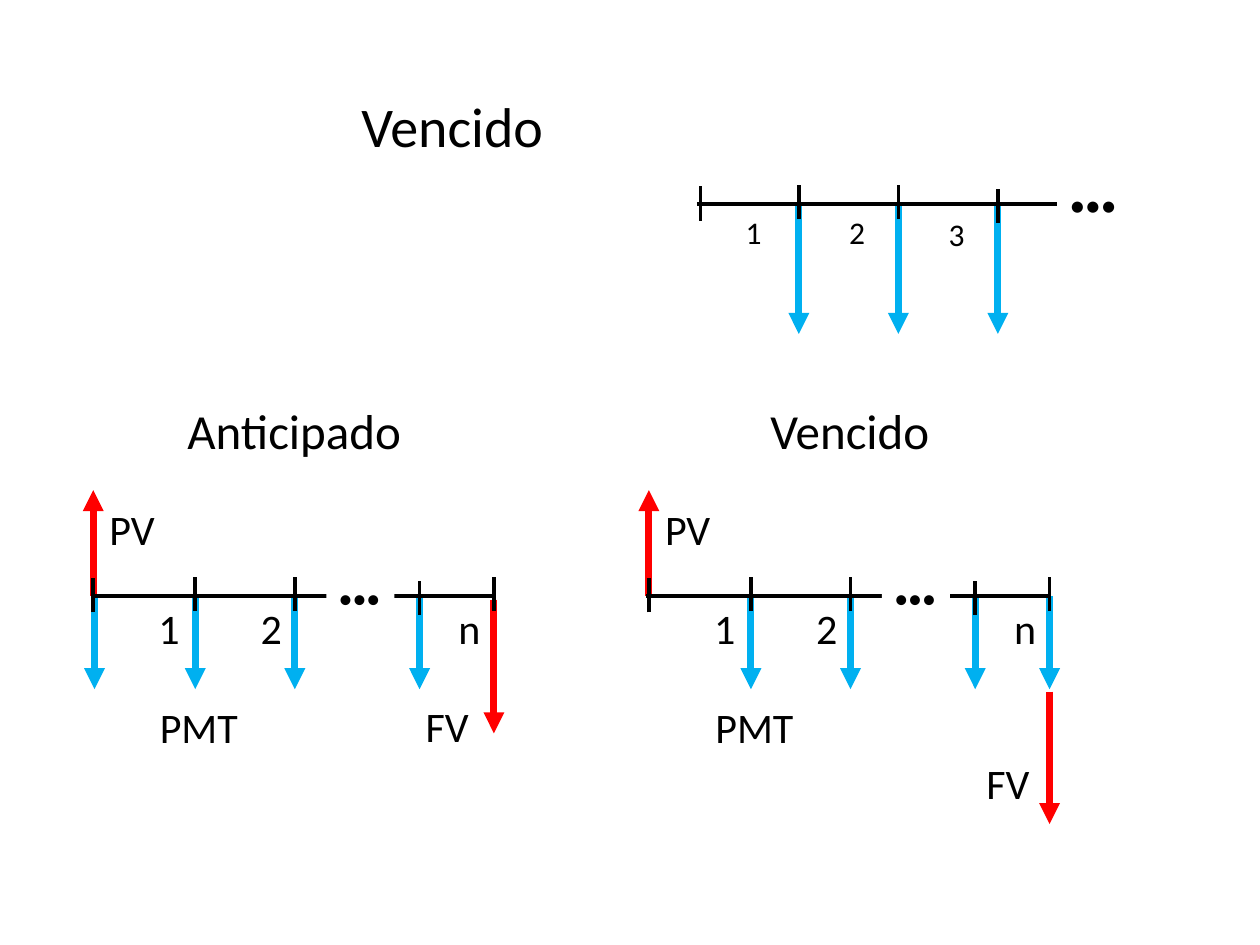
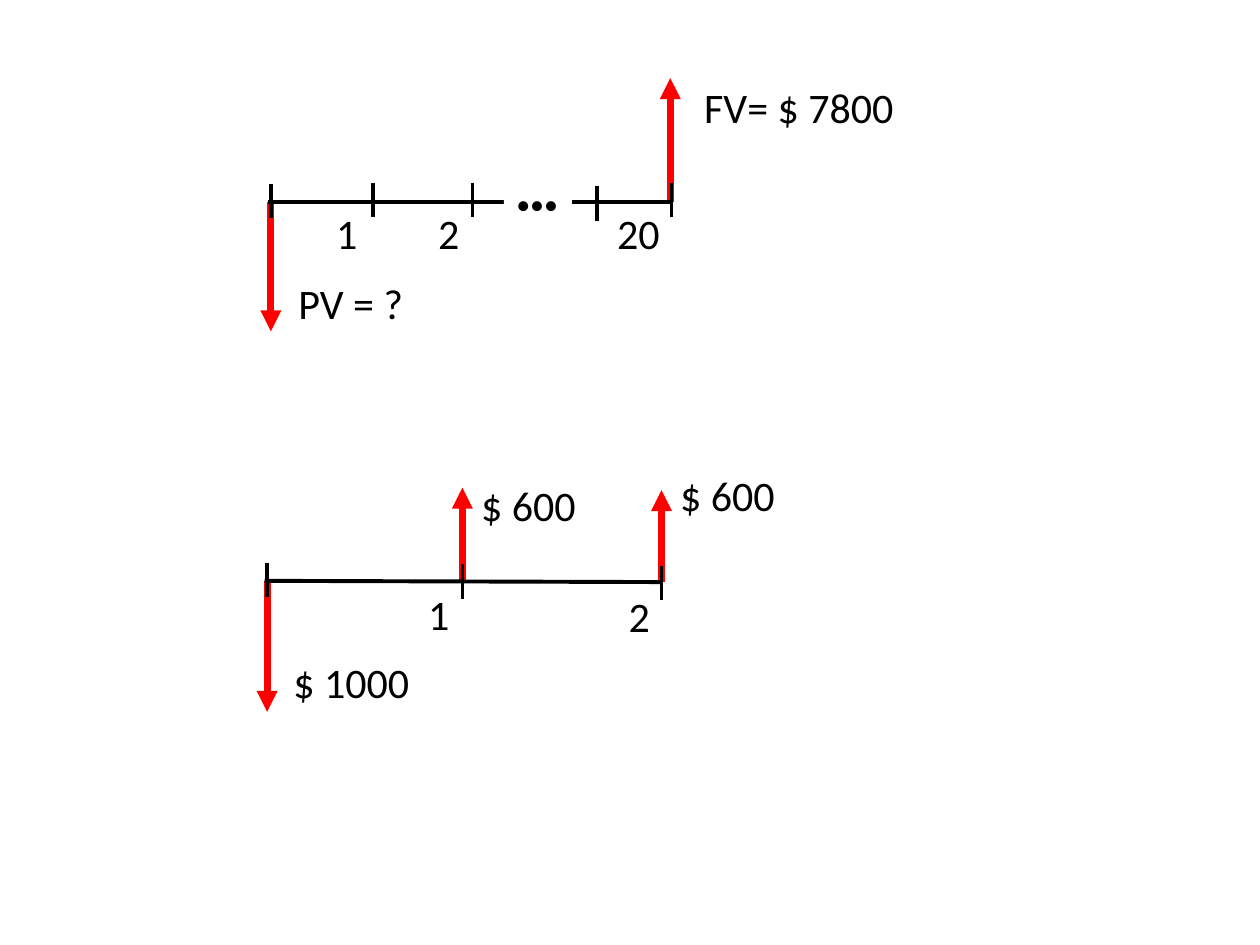
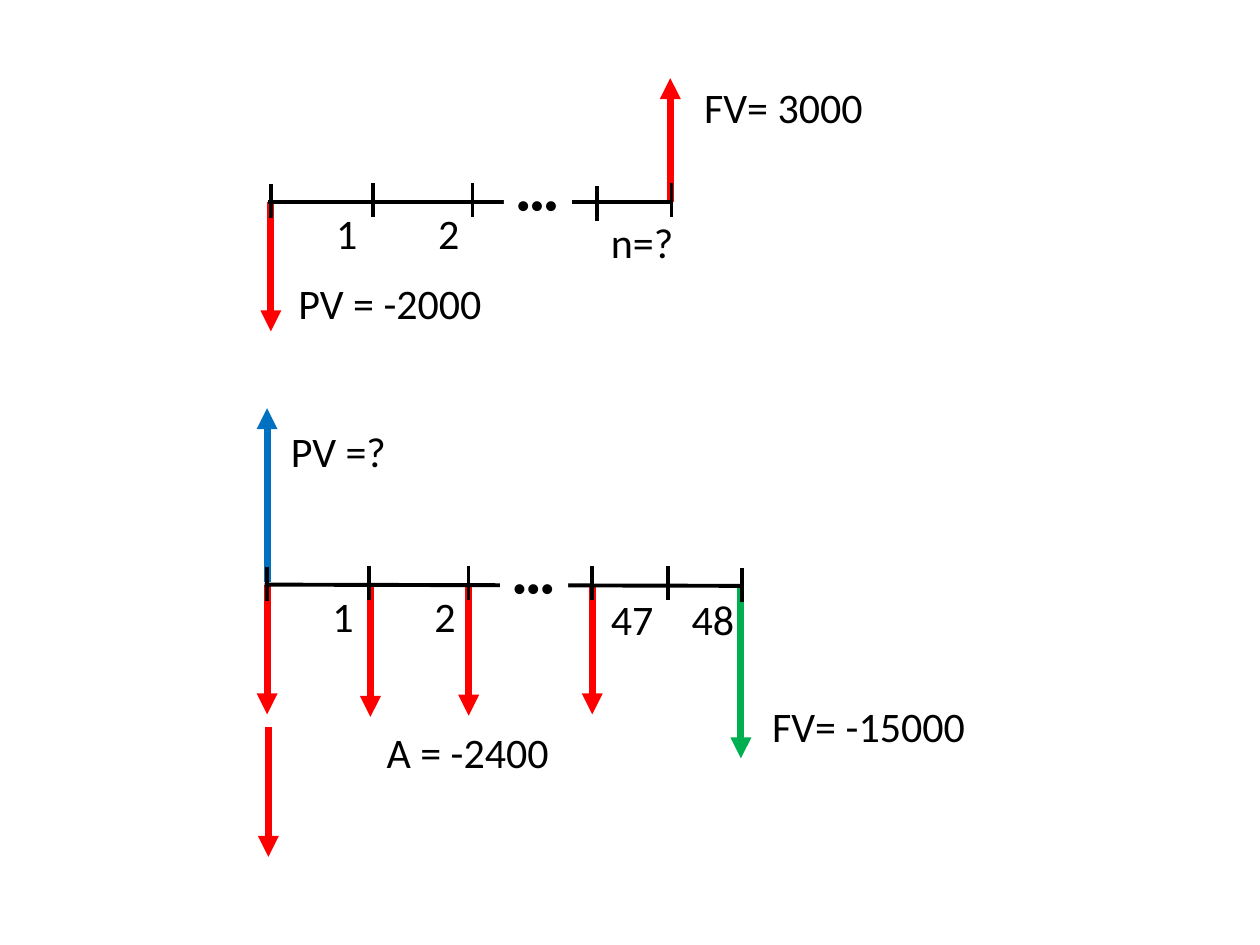
import pptx
import pptx.util
import pptx.dml.color
import pptx.enum.shapes
import pptx.enum.text
import lxml.etree
from pptx.util import Inches

RGBColor = pptx.dml.color.RGBColor
BLACK = RGBColor(0x00, 0x00, 0x00)
WHITE = RGBColor(0xFF, 0xFF, 0xFF)
RED = RGBColor(0xFF, 0x00, 0x00)
SKY = RGBColor(0x00, 0xB0, 0xF0)
BLUE = RGBColor(0x00, 0x70, 0xC0)
GREEN = RGBColor(0x00, 0xB0, 0x50)

FONT = "Calibri"
AXIS_WIDTH, TICK_WIDTH, ARROW_WIDTH = 2.25, 2, 4
LINE_HEIGHTS = {16: 0.37, 18: 0.4, 24: 0.5, 28: 0.57, 32: 0.64}
DRAWING = "{http://schemas.openxmlformats.org/drawingml/2006/main}"

PERIOD_TICKS = ((0.02, 0), (0.83, -0.01), (1.62, -0.01), (2.61, 0.02), (3.2, -0.01))
FIRST_PERIODS = (("1", 0.44, 0, 0.37), ("2", 1.25, 0, 0.37))
PERIOD_DOTS = (1.87, -0.17, 0.54, 16)


def draw_line(slide, start, end, color, width, arrow=False):
    line = slide.shapes.add_connector(
        pptx.enum.shapes.MSO_CONNECTOR.STRAIGHT,
        Inches(start[0]), Inches(start[1]), Inches(end[0]), Inches(end[1]))
    line.line.color.rgb = color
    line.line.width = pptx.util.Pt(width)
    if arrow:
        outline = line.line._get_or_add_ln()
        lxml.etree.SubElement(outline, DRAWING + "tailEnd", type="triangle")
    properties = line._element.spPr
    lxml.etree.SubElement(properties, DRAWING + "effectLst")


def write(shape, text, size, align, wrap):
    frame = shape.text_frame
    frame.text = text
    frame.word_wrap = wrap
    frame.auto_size = pptx.enum.text.MSO_AUTO_SIZE.SHAPE_TO_FIT_TEXT
    frame.vertical_anchor = pptx.enum.text.MSO_ANCHOR.TOP
    paragraph = frame.paragraphs[0]
    paragraph.alignment = align
    font = paragraph.runs[0].font
    font.name = FONT
    font.size = pptx.util.Pt(size)
    font.color.rgb = BLACK


def add_label(slide, text, left, top, width, size=24,
              align=pptx.enum.text.PP_ALIGN.LEFT, wrap=False):
    box = slide.shapes.add_textbox(
        Inches(left), Inches(top), Inches(width), Inches(LINE_HEIGHTS[size]))
    write(box, text, size, align, wrap)


def add_title(slide, text, left, top, width, size):
    add_label(slide, text, left, top, width, size,
              pptx.enum.text.PP_ALIGN.CENTER, True)


def add_dots(slide, left, top, width, size):
    gap = slide.shapes.add_shape(
        pptx.enum.shapes.MSO_SHAPE.RECTANGLE,
        Inches(left), Inches(top), Inches(width), Inches(LINE_HEIGHTS[size]))
    gap.shadow.inherit = False
    gap.fill.solid()
    gap.fill.fore_color.rgb = WHITE
    gap.line.fill.background()
    write(gap, "•••", size, pptx.enum.text.PP_ALIGN.LEFT, False)


def cash_flow(slide, left, top, arrows, labels, length=3.2, slope=0,
              ticks=PERIOD_TICKS, dots=PERIOD_DOTS, label_size=24):
    for color, x, start, end in arrows:
        draw_line(slide, (left + x, top + start), (left + x, top + end),
                  color, ARROW_WIDTH, True)
    draw_line(slide, (left, top), (left + length, top + slope), BLACK, AXIS_WIDTH)
    for x, shift in ticks:
        draw_line(slide, (left + x, top + shift + 0.13),
                  (left + x, top + shift - 0.14), BLACK, TICK_WIDTH)
    if dots:
        x, y, width, size = dots
        add_dots(slide, left + x, top + y, width, size)
    for text, x, y, width in labels:
        add_label(slide, text, left + x, top + y, width, label_size)


def annuity(slide, left, top, title, payments, future_arrow, future_label):
    add_title(slide, title, left + 0.03, top - 1.6, 3.17, 28)
    arrows = [(RED, 0.02, 0, -0.84), (RED, 3.2, *future_arrow)]
    arrows += [(SKY, x, 0, 0.74) for x in payments]
    labels = FIRST_PERIODS + (
        ("n", 2.82, 0, 0.38), ("PV", 0.05, -0.78, 0.57),
        ("PMT", 0.45, 0.79, 0.83), ("FV", *future_label, 0.57))
    cash_flow(slide, left, top, arrows, labels)


def single_payment(slide, left, top, present, future, periods):
    arrows = ((RED, 3.19, 0, -0.98), (RED, 0.02, 0, 1.03))
    labels = FIRST_PERIODS + (
        periods, (present[0], 0.14, 0.55, present[1]),
        (future[0], 3.36, -1, future[1]))
    cash_flow(slide, left, top, arrows, labels)


def timing_slide(slide):
    add_title(slide, "Vencido", 1.85, 0.68, 3.48, 32)
    payment_ticks = ((0.81, -0.01), (1.6, -0.01), (2.39, 0.02))
    cash_flow(
        slide, 5.53, 1.62,
        [(SKY, x, 0, 1.03) for x, shift in payment_ticks],
        (("1", 0.29, 0.02, 0.33), ("2", 1.11, 0.02, 0.33), ("3", 1.9, 0.04, 0.33)),
        length=3.03, ticks=((0.03, 0),) + payment_ticks,
        dots=(2.86, -0.2, 0.58, 18), label_size=18)
    annuity(slide, 0.72, 4.73, "Anticipado", (0.03, 0.83, 1.62, 2.61),
            (0.03, 1.09), (2.56, 0.78))
    annuity(slide, 5.13, 4.73, "Vencido", (0.83, 1.62, 2.61, 3.2),
            (0.76, 1.81), (2.6, 1.23))


def present_value_slide(slide):
    single_payment(slide, 2.13, 1.6, ("PV = ?", 1.04), ("FV= $ 7800", 1.72),
                   ("20", 2.67, 0, 0.54))
    cash_flow(
        slide, 2.1, 4.61,
        ((RED, 3.15, 0.01, -0.72), (RED, 1.57, -0.01, -0.74), (RED, 0.02, 0, 1.04)),
        (("1", 1.2, 0.01, 0.37), ("2", 2.79, 0.03, 0.37), ("$ 1000", 0.13, 0.55, 1.13),
         ("$ 600", 1.62, -0.85, 0.96), ("$ 600", 3.2, -0.93, 0.96)),
        length=3.15, slope=0.01, ticks=((0.02, 0), (1.57, 0.01), (3.15, 0.02)),
        dots=None)


def term_slide(slide):
    cash_flow(
        slide, 2.1, 4.64,
        ((RED, 2.6, 0, 1.03), (RED, 1.62, 0.01, 1.04), (RED, 0.84, 0.02, 1.05),
         (BLUE, 0.02, -0.02, -1.4), (GREEN, 3.78, 0.02, 1.38),
         (RED, 0.02, 0, 1.03), (RED, 0.03, 1.13, 2.16)),
        FIRST_PERIODS + (
            ("47", 2.65, 0.02, 0.54), ("48", 3.29, 0.02, 0.54),
            ("PV =?", 0.11, -1.31, 0.96), ("FV= -15000", 3.93, 0.87, 1.74),
            ("A = -2400", 0.87, 1.08, 1.5)),
        length=3.79, slope=0.01,
        ticks=((0.02, 0), (0.83, -0.01), (1.62, -0.01), (2.6, -0.01),
               (3.2, -0.01), (3.79, 0.01)))
    single_payment(slide, 2.13, 1.6, ("PV = -2000", 1.67), ("FV= 3000", 1.47),
                   ("n=?", 2.62, 0.07, 0.7))


deck = pptx.Presentation()
deck.slide_width = Inches(10)
deck.slide_height = Inches(7.5)
for build in (timing_slide, present_value_slide, term_slide):
    build(deck.slides.add_slide(deck.slide_layouts[6]))
deck.save("out.pptx")
